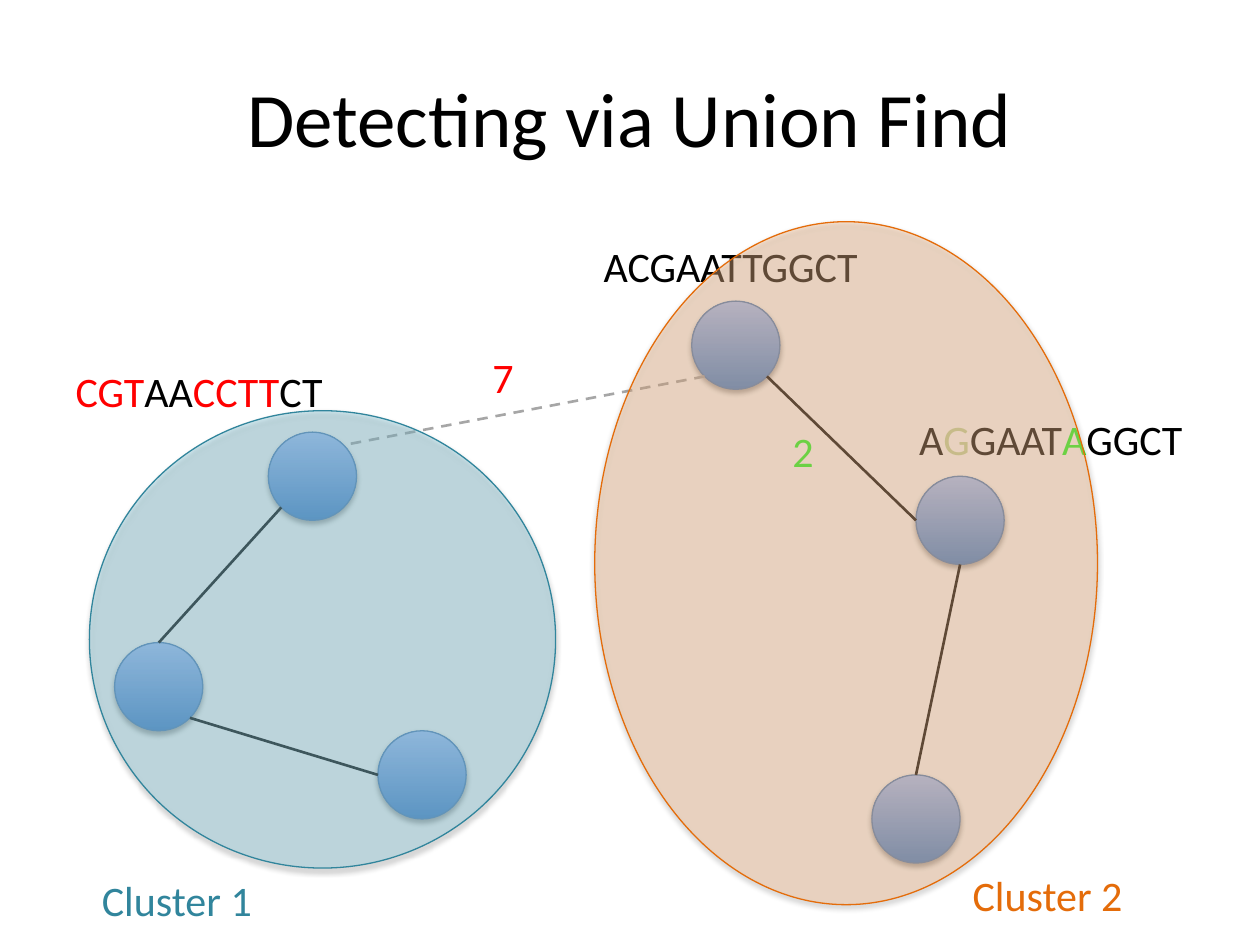
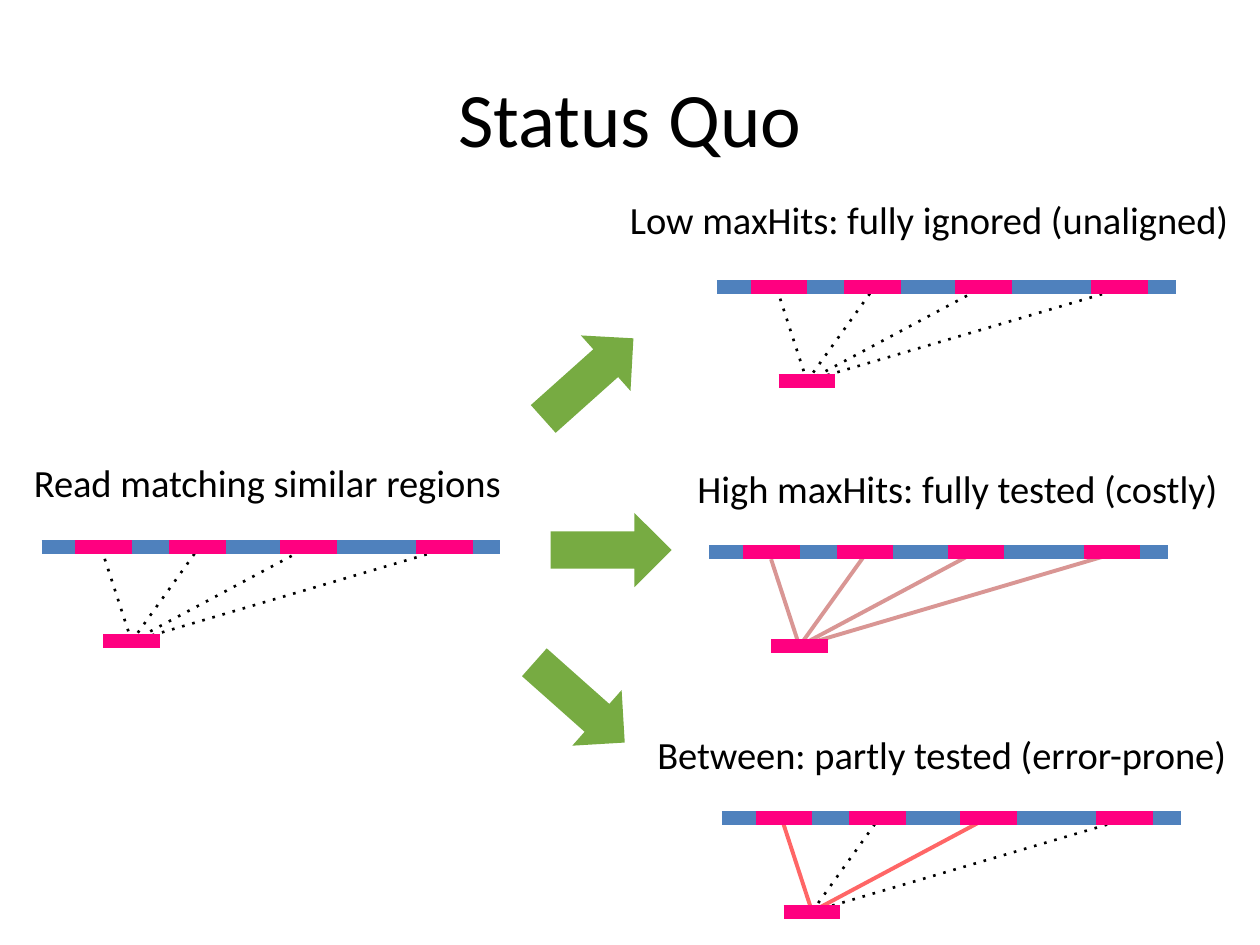
import math

from lxml import etree
from pptx import Presentation
from pptx import util as u
from pptx.dml.color import RGBColor
from pptx.enum import shapes, text
from pptx.oxml.ns import qn

BLACK = RGBColor(0x00, 0x00, 0x00)
RED = RGBColor(0xFF, 0x00, 0x00)
GREEN = RGBColor(0x1A, 0xFF, 0x1A)
OLIVE = RGBColor(0xC3, 0xD6, 0x9B)
GREY = RGBColor(0xA6, 0xA6, 0xA6)
NODE_DARK = RGBColor(0x3F, 0x80, 0xCE)
NODE_LIGHT = RGBColor(0xA4, 0xC4, 0xFF)
NODE_LINE = RGBColor(0x4B, 0x7E, 0xBC)
TEAL = RGBColor(0x31, 0x85, 0x9C)
TEAL_PALE = RGBColor(0x93, 0xCD, 0xDD)
ORANGE = RGBColor(0xE4, 0x6C, 0x0A)
ORANGE_PALE = RGBColor(0xFA, 0xC0, 0x90)
GENOME = RGBColor(0x4F, 0x81, 0xBD)
REGION = RGBColor(0xFF, 0x00, 0x80)
TESTED = RGBColor(0xD9, 0x96, 0x94)
PARTLY = RGBColor(0xFF, 0x66, 0x66)
ARROW = RGBColor(0x77, 0xAB, 0x42)

FONT = "Calibri"
COLS, ROWS = 100, 75
CELL = u.Inches(0.1)
NODE = 7
RADIUS = NODE / 2
REGION_COLS, REGION_WIDTH = (2.67, 10.1, 18.92, 29.7), 4.5
GENOME_WIDTH, READ_COL, READ_ROW = 36.4, 4.9, 7.45
LINK_ENDS = (4.9, 0.55), (12.5, 0), (21.1, 0), (33.1, -0.2)
IGNORED = {"color": BLACK, "width": 1.5, "dash": "dot"}
COSTLY = {"color": TESTED, "width": 2.25}
CHECKED = {"color": PARTLY, "width": 2.25}


def grid(*cells):
    """Turn columns or rows into lengths."""
    return [u.Emu(round(c * CELL)) for c in cells]


def add_text(slide, box, runs, size=24, align=None, wrap=True,
             anchor=text.MSO_ANCHOR.TOP):
    """Write one paragraph of (words, colour) runs in a box."""
    tf = slide.shapes.add_textbox(*grid(*box)).text_frame
    tf.word_wrap = wrap
    tf.vertical_anchor = anchor
    p = tf.paragraphs[0]
    p.alignment = align
    for words, color in runs:
        r = p.add_run()
        r.text = words
        for name, value in {"name": FONT, "size": u.Pt(size)}.items():
            setattr(r.font, name, value)
        r.font.color.rgb = color


def add_title(slide, words):
    """Write the slide title."""
    add_text(slide, (5, 3, 90, 12.5), [(words, BLACK)], 44,
             text.PP_ALIGN.CENTER, anchor=text.MSO_ANCHOR.MIDDLE)


def add_line(slide, start, end, color=BLACK, width=1.5, dash=None):
    """Draw a straight line between two grid points."""
    sp = slide.shapes.add_connector(shapes.MSO_CONNECTOR.STRAIGHT,
                                    *grid(*start, *end))
    sp.line.color.rgb = color
    sp.line.width = u.Pt(width)
    props = sp._element.spPr
    if dash:
        etree.SubElement(props.find(qn("a:ln")), qn("a:prstDash"), val=dash)
    etree.SubElement(props, qn("a:effectLst"))


def add_ellipse(slide, box, line):
    """Draw an outlined ellipse with a soft shadow below it."""
    sp = slide.shapes.add_shape(shapes.MSO_SHAPE.OVAL, *grid(*box))
    sp.line.color.rgb = line
    sp.line.width = u.Pt(0.75)
    sp.shadow.inherit = False
    effects = sp._element.spPr.find(qn("a:effectLst"))
    shadow = etree.SubElement(effects, qn("a:outerShdw"), blurRad="40000",
                              dist="23000", dir="5400000", rotWithShape="0")
    color = etree.SubElement(shadow, qn("a:srgbClr"), val=str(BLACK))
    etree.SubElement(color, qn("a:alpha"), val="35000")
    return sp


def add_node(slide, left, top):
    """Draw a graph node with a vertical gradient."""
    sp = add_ellipse(slide, (left, top, NODE, NODE), NODE_LINE)
    sp.fill.gradient()
    sp.fill.gradient_angle = 90
    for stop, color in zip(sp.fill.gradient_stops, (NODE_DARK, NODE_LIGHT)):
        stop.color.rgb = color


def add_cluster(slide, box, fill, line, opacity, label, label_box):
    """Lay a translucent labelled ellipse over a cluster."""
    sp = add_ellipse(slide, box, line)
    sp.fill.solid()
    sp.fill.fore_color.rgb = fill
    color = sp._element.spPr.find(qn("a:solidFill"))[0]
    etree.SubElement(color, qn("a:alpha"), val=str(opacity * 1000))
    add_text(slide, label_box, [(label, line)])


def rim(node, degrees):
    """Find the point on a node's edge, clockwise from the right."""
    angle = math.radians(degrees)
    return (node[0] + RADIUS + RADIUS * math.cos(angle),
            node[1] + RADIUS + RADIUS * math.sin(angle))


def add_arrow(slide, left, top, rotation):
    """Draw a block arrow."""
    sp = slide.shapes.add_shape(shapes.MSO_SHAPE.RIGHT_ARROW,
                                *grid(left, top, 9.6, 5.9))
    sp.rotation = rotation
    sp.shadow.inherit = False
    sp.fill.solid()
    sp.fill.fore_color.rgb = ARROW
    sp.line.fill.background()


def add_alignment(slide, left, top, links):
    """Draw a genome, its similar regions and a read linked to them."""
    read = left + READ_COL, top + READ_ROW
    middle = read[0] + REGION_WIDTH / 2, read[1]
    for (col, row), style in zip(LINK_ENDS, links):
        add_line(slide, middle, (left + col, top + row), **style)
    bars = [(left, top, GENOME_WIDTH, GENOME)]
    bars += [(left + col, top, REGION_WIDTH, REGION) for col in REGION_COLS]
    bars.append((*read, REGION_WIDTH, REGION))
    for col, row, width, color in bars:
        add_line(slide, (col, row), (col + width, row), color, 8)


def build_union_find(slide):
    """Build the slide with two clusters of sequences."""
    add_title(slide, "Detecting via Union Find")
    first, second, third = (21.3, 34.3), (9.1, 51), (30, 58)
    upper, right, lower = (54.9, 23.9), (72.7, 37.8), (69.2, 61.5)
    for node in (first, second, third, upper, right, lower):
        add_node(slide, *node)
    sequences = [
        (43.8, 18.6, [("ACGAATTGGCT", BLACK)]),
        (69.2, 32.3, [("A", BLACK), ("G", OLIVE), ("GAAT", BLACK),
                      ("A", GREEN), ("GGCT", BLACK)]),
        (1.6, 28.5, [("CGT", RED), ("AA", BLACK), ("CCTT", RED),
                     ("CT", BLACK)]),
    ]
    for left, top, runs in sequences:
        add_text(slide, (left, top, 28.4, 5), runs,
                 align=text.PP_ALIGN.CENTER)
    add_text(slide, (61.9, 33.3, 3.8, 5), [("2", GREEN)])
    add_text(slide, (38.1, 27.4, 5.4, 5), [("7", RED)])
    add_line(slide, rim(upper, 135), rim(first, -45), GREY, dash="dash")
    edges = [(upper, 45, right, 180), (right, 90, lower, -90),
             (second, -90, first, 135), (third, 180, second, 45)]
    for a, a_angle, b, b_angle in edges:
        add_line(slide, rim(a, a_angle), rim(b, b_angle))
    add_cluster(slide, (7.1, 32.6, 37, 36.3), TEAL_PALE, TEAL, 42,
                "Cluster 1", (7.1, 68.9, 26.9, 5))
    add_cluster(slide, (47.2, 17.6, 39.9, 54.2), ORANGE_PALE, ORANGE, 38,
                "Cluster 2", (76.2, 68.5, 23.8, 5))


def build_status_quo(slide):
    """Build the slide comparing the treatments of a repeated read."""
    add_title(slide, "Status Quo")
    center = text.PP_ALIGN.CENTER
    panels = [
        ("Read matching similar regions", (1.7, 35.9, 39.2, 4.7), None,
         (3.3, 43.45), [IGNORED] * 4),
        ("High maxHits: fully tested (costly)", (54, 36.4, 44, 4.7), center,
         (56.3, 43.83), [COSTLY] * 4),
        ("Low maxHits: fully ignored (unaligned)", (48.9, 15.1, 49.7, 4.7),
         center, (56.9, 22.8), [IGNORED] * 4),
        ("Between: partly tested (error-prone)", (50.9, 57.5, 47.7, 4.7),
         center, (57.3, 64.9), [CHECKED, IGNORED] * 2),
    ]
    for caption, box, align, origin, links in panels:
        add_text(slide, box, [(caption, BLACK)], 22, align, wrap=False)
        add_alignment(slide, *origin, links)
    for arrow in ((43.7, 40.7, 0), (41.9, 27.1, 318.2), (41.2, 52.8, 41.6)):
        add_arrow(slide, *arrow)


def main():
    """Build and save the presentation."""
    prs = Presentation()
    prs.slide_width, prs.slide_height = grid(COLS, ROWS)
    for build in (build_union_find, build_status_quo):
        build(prs.slides.add_slide(prs.slide_layouts[6]))
    prs.save("out.pptx")


if __name__ == "__main__":
    main()
